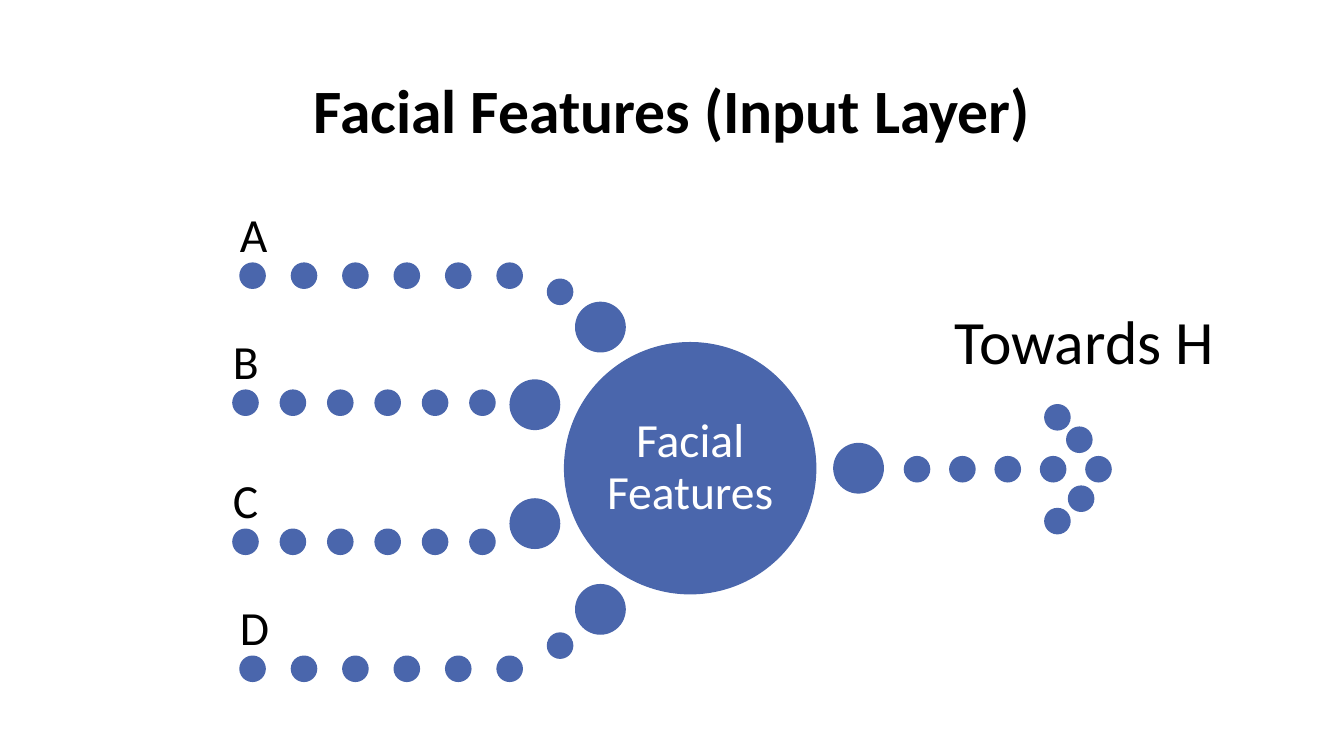
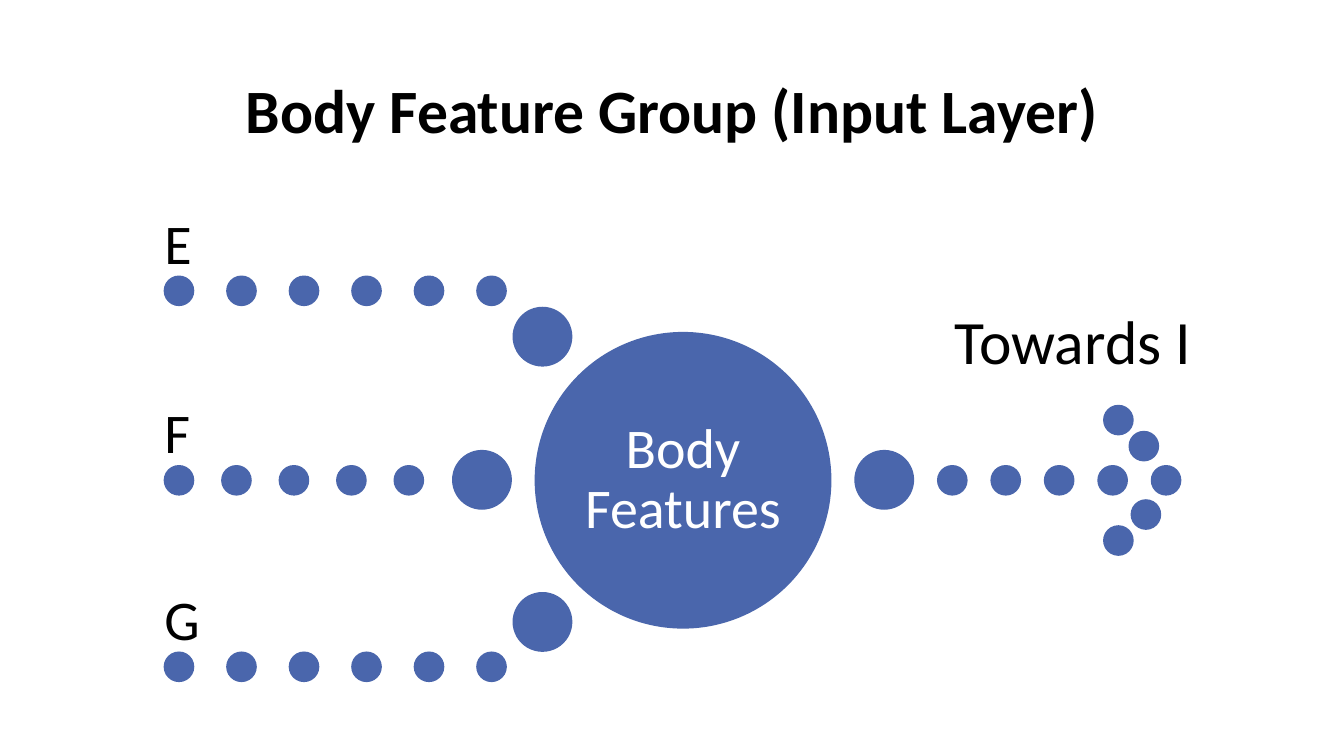
from dataclasses import dataclass

from pptx import Presentation
from pptx.dml.color import RGBColor
from pptx.enum import shapes, text
from pptx.util import Inches, Pt

COLOURS = {"dot": "4A66AC", "ink": "000000", "hub_text": "FFFFFF"}
FONT = "Calibri"
TITLE_BOX = (0.92, 0.4, 11.5, 1.45)
TARGET_BOX = (9.37, 2.96, 3.21, 0.84)
ARROWHEAD = ((-1.63, -2.06), (-1.63, 2.06), (-0.76, -1.17), (-0.69, 1.17))


@dataclass(frozen=True)
class Spot:
    left: float
    top: float


@dataclass(frozen=True)
class Trail:
    label: str
    start: Spot
    step: float
    count: int
    joint: Spot
    bend: Spot | None = None


@dataclass(frozen=True)
class Diagram:
    title: str
    hub_text: str
    target: str
    size: int
    dot: float
    joint: float
    hub: float
    label_height: float
    hub_spot: Spot
    hub_margin: float
    exit_joint: Spot
    shaft: Spot
    shaft_step: float
    trails: tuple[Trail, ...]


DIAGRAMS = (
    Diagram(
        "Facial Features (Input Layer)", "Facial Features", "Towards H",
        size=34, dot=0.25, joint=0.49, hub=2.49, label_height=0.61,
        hub_spot=Spot(5.6, 3.4), hub_margin=0.05,
        exit_joint=Spot(8.27, 4.4), shaft=Spot(8.97, 4.53), shaft_step=0.45,
        trails=(
            Trail("A", Spot(2.38, 2.61), 0.51, 6, Spot(5.71, 3), Spot(5.43, 2.77)),
            Trail("B", Spot(2.31, 3.87), 0.47, 6, Spot(5.06, 3.77)),
            Trail("C", Spot(2.31, 5.25), 0.47, 6, Spot(5.06, 4.95)),
            Trail("D", Spot(2.38, 6.51), 0.51, 6, Spot(5.71, 5.8), Spot(5.43, 6.28)),
        ),
    ),
    Diagram(
        "Body Feature Group (Input Layer)", "Body Features", "Towards I",
        size=40, dot=0.29, joint=0.58, hub=2.93, label_height=0.74,
        hub_spot=Spot(5.31, 3.3), hub_margin=0.06,
        exit_joint=Spot(8.48, 4.47), shaft=Spot(9.3, 4.62), shaft_step=0.53,
        trails=(
            Trail("E", Spot(1.63, 2.74), 0.62, 6, Spot(5.09, 3.05)),
            Trail("F", Spot(1.63, 4.62), 0.57, 5, Spot(4.49, 4.47)),
            Trail("G", Spot(1.63, 6.47), 0.62, 6, Spot(5.09, 5.88)),
        ),
    ),
)


def write(frame, words: str, *, size: int, colour: str = "ink", bold: bool = False,
          align=text.PP_ALIGN.LEFT, anchor=text.MSO_ANCHOR.TOP,
          spacing: float = 1.0, margin: float | None = None) -> None:
    frame.word_wrap = True
    frame.vertical_anchor = anchor
    if margin is not None:
        frame.margin_left = frame.margin_right = Inches(margin)
        frame.margin_top = frame.margin_bottom = Inches(margin)
    paragraph = frame.paragraphs[0]
    paragraph.alignment = align
    paragraph.line_spacing = spacing
    run = paragraph.add_run()
    run.text = words
    run.font.name = FONT
    run.font.size = Pt(size)
    run.font.bold = bold
    run.font.color.rgb = RGBColor.from_string(COLOURS[colour])


def add_box(slide, left: float, top: float, width: float, height: float):
    return slide.shapes.add_textbox(
        Inches(left), Inches(top), Inches(width), Inches(height)).text_frame


def add_circle(slide, spot: Spot, size: float):
    circle = slide.shapes.add_shape(
        shapes.MSO_SHAPE.OVAL, Inches(spot.left), Inches(spot.top),
        Inches(size), Inches(size))
    colour = RGBColor.from_string(COLOURS["dot"])
    circle.shadow.inherit = False
    circle.fill.solid()
    circle.fill.fore_color.rgb = colour
    circle.line.color.rgb = colour
    circle.line.width = Pt(1)
    return circle


def add_dots(slide, start: Spot, step: float, count: int, size: float) -> None:
    for index in range(count):
        add_circle(slide, Spot(start.left + index * step, start.top), size)


def draw_arrow(slide, diagram: Diagram) -> None:
    dot, shaft, count = diagram.dot, diagram.shaft, 5
    add_circle(slide, diagram.exit_joint, diagram.joint)
    add_dots(slide, shaft, diagram.shaft_step, count, dot)
    tip_left = shaft.left + (count - 1) * diagram.shaft_step
    for across, down in ARROWHEAD:
        add_circle(slide, Spot(tip_left + across * dot, shaft.top + down * dot), dot)


def draw_trail(slide, trail: Trail, diagram: Diagram) -> None:
    start = trail.start
    add_circle(slide, trail.joint, diagram.joint)
    if trail.bend:
        add_circle(slide, trail.bend, diagram.dot)
    add_dots(slide, start, trail.step, trail.count, diagram.dot)
    width = (trail.count - 1) * trail.step + diagram.dot
    label = add_box(slide, start.left, start.top - diagram.label_height,
                    width, diagram.label_height)
    write(label, trail.label, size=diagram.size, anchor=text.MSO_ANCHOR.BOTTOM,
          spacing=0.9, margin=0)


def draw_slide(deck, diagram: Diagram) -> None:
    slide = deck.slides.add_slide(deck.slide_layouts[6])
    write(add_box(slide, *TITLE_BOX), diagram.title, size=44, bold=True,
          align=text.PP_ALIGN.CENTER, anchor=text.MSO_ANCHOR.MIDDLE, spacing=0.9)
    draw_arrow(slide, diagram)
    hub = add_circle(slide, diagram.hub_spot, diagram.hub)
    write(hub.text_frame, diagram.hub_text, size=diagram.size, colour="hub_text",
          align=text.PP_ALIGN.CENTER, anchor=text.MSO_ANCHOR.MIDDLE,
          spacing=0.9, margin=diagram.hub_margin)
    for trail in diagram.trails:
        draw_trail(slide, trail, diagram)
    write(add_box(slide, *TARGET_BOX), diagram.target, size=44)


def main() -> None:
    deck = Presentation()
    deck.slide_width, deck.slide_height = Inches(13.33), Inches(7.5)
    for diagram in DIAGRAMS:
        draw_slide(deck, diagram)
    deck.save("out.pptx")


if __name__ == "__main__":
    main()
